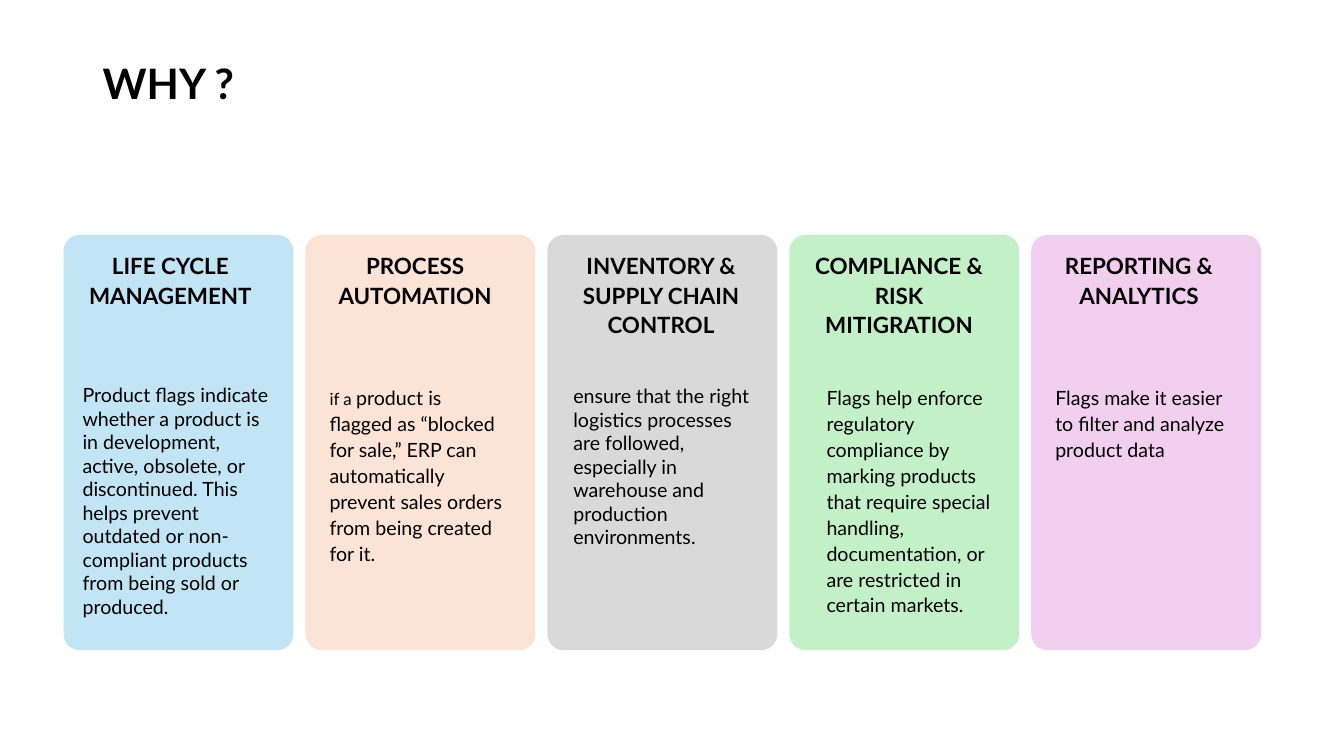
from pptx import Presentation
from pptx.dml.color import RGBColor
from pptx.enum.shapes import MSO_SHAPE
from pptx.enum.text import MSO_ANCHOR, PP_ALIGN
from pptx.util import Pt

BLACK = RGBColor(0x00, 0x00, 0x00)
BLUE = RGBColor(0xC1, 0xE5, 0xF5)
PEACH = RGBColor(0xFB, 0xE3, 0xD6)
GREY = RGBColor(0xD9, 0xD9, 0xD9)
GREEN = RGBColor(0xC2, 0xF1, 0xC8)
PINK = RGBColor(0xF2, 0xCF, 0xEE)

FONT = "Lato"
CARDS_LEFT, CARDS_TOP = 45.4, 167.8
CARD_WIDTH, CARD_HEIGHT, CARD_PITCH = 164.2, 296.6, 172.8
CARD_RADIUS = 0.07
TEXT_WIDTH = 144
HEADING_DROP, BODY_DROP = 6.4, 102.2

CARDS = [
    {
        "color": BLUE,
        "heading": "LIFE CYCLE MANAGEMENT",
        "heading_indent": 4.3,
        "body": ["Product flags indicate whether a product is in development, active, "
                 "obsolete, or discontinued. This helps prevent outdated or "
                 "non-compliant products from being sold or produced."],
        "body_indent": 6.5,
        "body_width": 151.2,
        "body_insets": (7.2, 3.6),
        "body_spacing": 1.0,
    },
    {
        "color": PEACH,
        "heading": "PROCESS AUTOMATION",
        "heading_indent": 6.3,
        "body": ["if a ",
                 "product is flagged as “blocked for sale,” ERP can automatically "
                 "prevent sales orders from being created for it."],
        "body_sizes": (12, 14),
        "body_indent": 8.6,
    },
    {
        "color": GREY,
        "heading": "INVENTORY & SUPPLY CHAIN CONTROL",
        "heading_indent": 9.2,
        "body": ["ensure that the right logistics processes are followed, especially "
                 "in warehouse and production environments."],
        "body_indent": 10,
        "body_spacing": 1.0,
    },
    {
        "color": GREEN,
        "heading": "COMPLIANCE & RISK MITIGRATION",
        "heading_indent": 6.4,
        "body": ["Flags help enforce regulatory compliance by marking products that "
                 "require special handling, documentation, or are restricted in "
                 "certain markets."],
        "body_indent": 18,
    },
    {
        "color": PINK,
        "heading": "REPORTING & ANALYTICS",
        "heading_indent": 5,
        "body": ["Flags make it easier to filter and analyze product data"],
        "body_indent": 8.6,
    },
]


def add_text(slide, box, texts, sizes, bold=False, align=PP_ALIGN.LEFT,
             spacing=1.1, insets=(8.6, 4.3), anchor=MSO_ANCHOR.TOP):
    """Place one wrapped paragraph in the given box."""
    text_box = slide.shapes.add_textbox(*map(Pt, box))
    frame = text_box.text_frame
    frame.word_wrap = True
    frame.vertical_anchor = anchor
    frame.margin_left = frame.margin_right = Pt(insets[0])
    frame.margin_top = frame.margin_bottom = Pt(insets[1])
    paragraph = frame.paragraphs[0]
    paragraph.alignment = align
    paragraph.line_spacing = spacing
    paragraph.font.name = FONT
    paragraph.font.bold = bold
    paragraph.font.color.rgb = BLACK
    if len(sizes) == 1:
        paragraph.font.size = Pt(sizes[0])
    for index, text in enumerate(texts):
        run = paragraph.add_run()
        run.text = text
        if len(sizes) > 1:
            run.font.size = Pt(sizes[index])


def add_title(slide, box):
    """Place the slide title in the given box."""
    add_text(slide, box, ["WHY ?"], (30,), bold=True, spacing=0.9,
             insets=(7.2, 3.6), anchor=MSO_ANCHOR.MIDDLE)


def add_card(slide, box, card):
    """Draw one rounded card with its heading and body inside the given box."""
    left, top, width, height = box
    shape = slide.shapes.add_shape(MSO_SHAPE.ROUNDED_RECTANGLE, *map(Pt, box))
    shape.adjustments[0] = CARD_RADIUS
    shape.shadow.inherit = False
    shape.fill.solid()
    shape.fill.fore_color.rgb = card["color"]
    shape.line.fill.background()
    heading_box = (left + card["heading_indent"], top + HEADING_DROP, TEXT_WIDTH, 70)
    add_text(slide, heading_box, [card["heading"]], (16,), bold=True,
             align=PP_ALIGN.CENTER)
    body_box = (left + card["body_indent"], top + BODY_DROP,
                card.get("body_width", TEXT_WIDTH), 177)
    add_text(slide, body_box, card["body"], card.get("body_sizes", (14,)),
             spacing=card.get("body_spacing", 1.1),
             insets=card.get("body_insets", (8.6, 4.3)))


def main():
    """Build the slide and save it."""
    presentation = Presentation()
    presentation.slide_width = Pt(960)
    presentation.slide_height = Pt(540)
    slide = presentation.slides.add_slide(presentation.slide_layouts[6])
    add_title(slide, (66.2, 28.8, 828, 65.5))
    for index, card in enumerate(CARDS):
        left = CARDS_LEFT + index * CARD_PITCH
        add_card(slide, (left, CARDS_TOP, CARD_WIDTH, CARD_HEIGHT), card)
    presentation.save("out.pptx")


if __name__ == "__main__":
    main()
